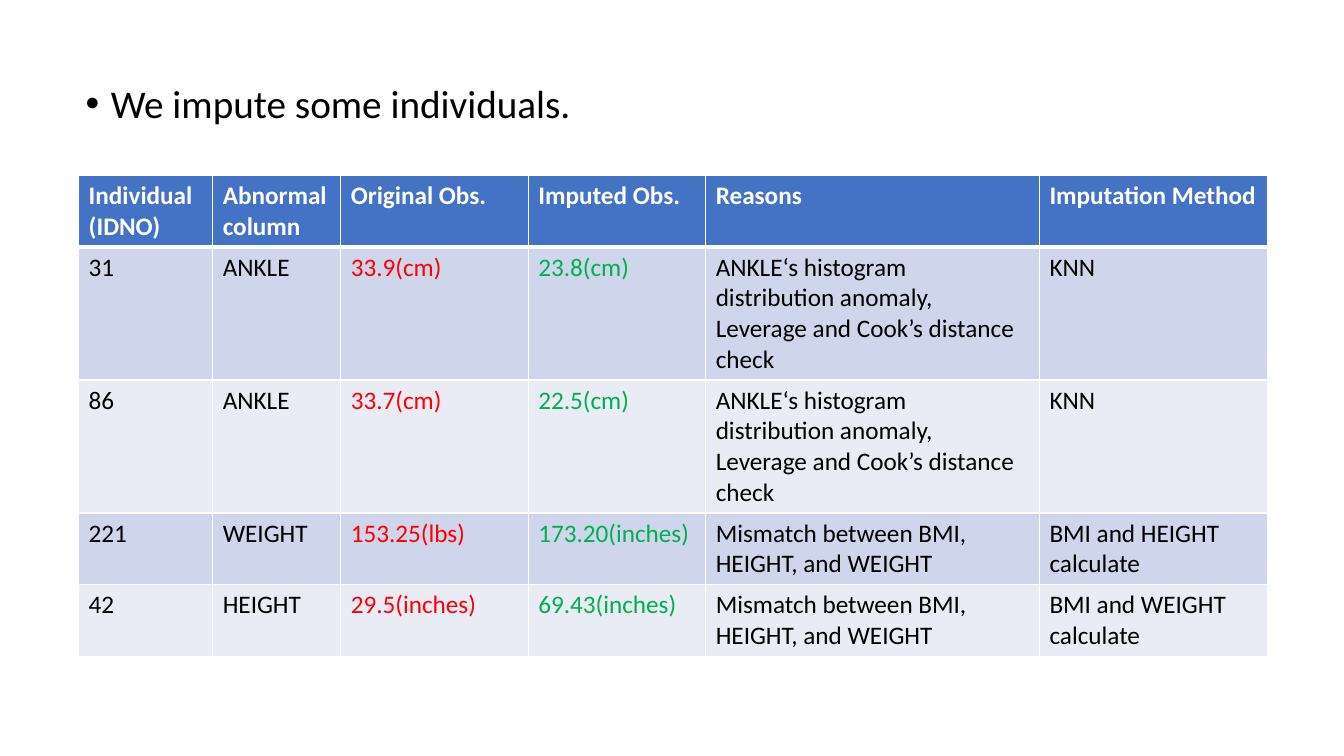
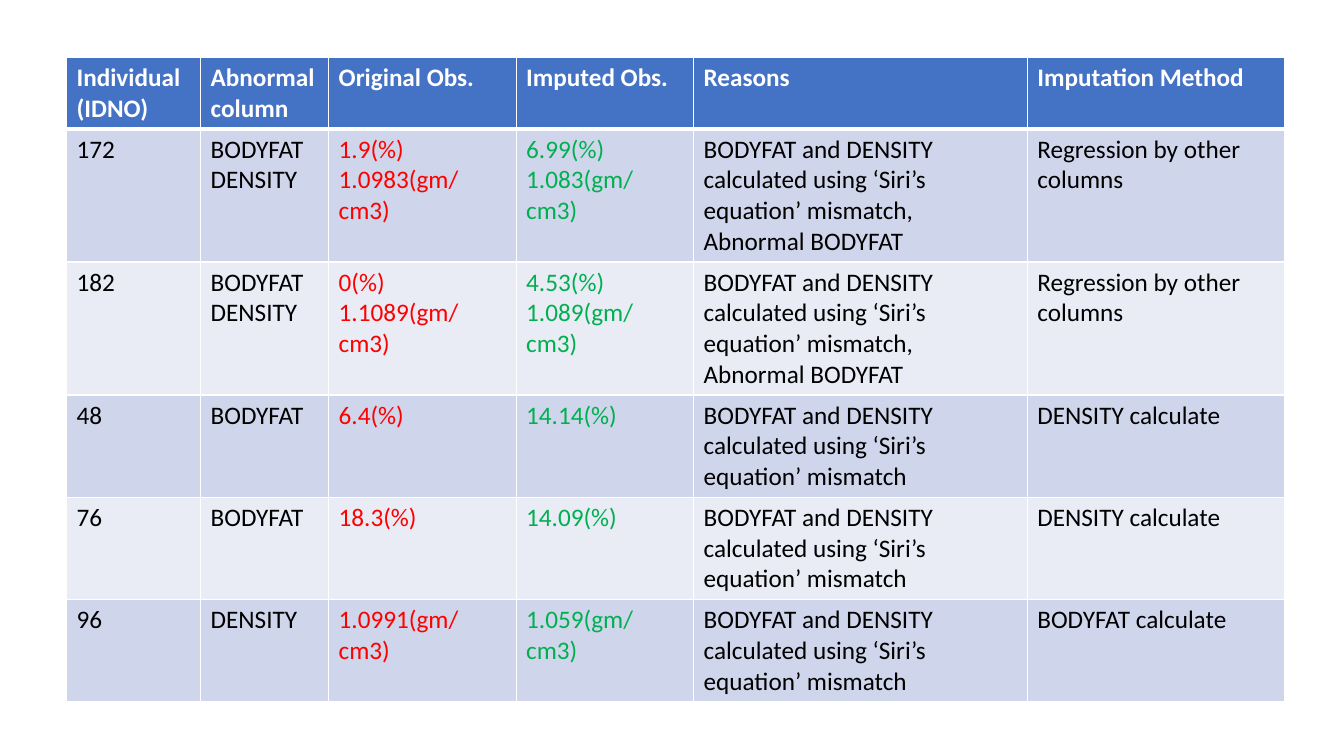
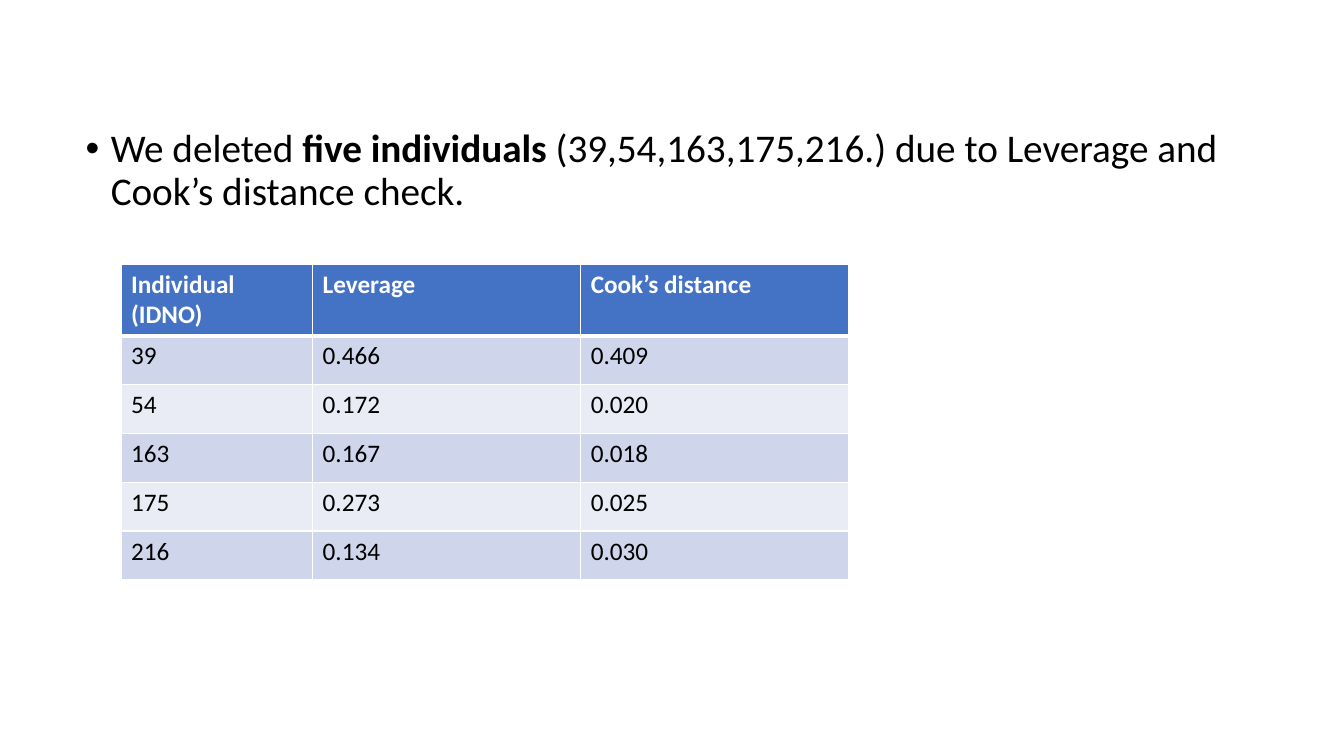
from dataclasses import dataclass

from lxml import etree
from pptx import Presentation
from pptx.dml.color import RGBColor
from pptx.oxml.ns import qn
from pptx.util import Inches, Pt

BLANK_LAYOUT = 6


@dataclass(frozen=True)
class Theme:
    font: str = "Calibri"
    body_size: int = 28
    table_size: int = 18
    text: str = "000000"
    inverse: str = "FFFFFF"
    header: str = "4472C4"
    bands: tuple[str, str] = ("CFD5EA", "E9EBF5")
    original: str = "FF0000"
    imputed: str = "00B050"
    border: str = "FFFFFF"
    thin: int = 1
    thick: int = 3


@dataclass(frozen=True)
class Phrase:
    text: str
    bold: bool = False


@dataclass(frozen=True)
class Statement:
    top: float
    phrases: tuple[Phrase, ...]


@dataclass(frozen=True)
class Row:
    height: float
    cells: tuple[str, ...]


@dataclass(frozen=True)
class Grid:
    left: float
    top: float
    widths: tuple[float, ...]
    rows: tuple[Row, ...]


THEME = Theme()
COLUMN_COLORS = {"Original Obs.": THEME.original, "Imputed Obs.": THEME.imputed}


def lines(count: int) -> float:
    return 0.1 + 0.305 * count


def style_run(run, size: int, color: str, bold: bool) -> None:
    run.font.name = THEME.font
    run.font.size = Pt(size)
    run.font.bold = bold
    run.font.color.rgb = RGBColor.from_string(color)


def add_statement(slide, statement: Statement) -> None:
    body = slide.shapes.add_textbox(
        Inches(0.75), Inches(statement.top), Inches(12.02), Inches(6.15)
    )
    body.text_frame.word_wrap = True
    paragraph = body.text_frame.paragraphs[0]
    properties = paragraph._p.get_or_add_pPr()
    properties.set("marL", str(Inches(0.25)))
    properties.set("indent", str(Inches(-0.25)))
    etree.SubElement(properties, qn("a:buFont"), typeface="Arial")
    etree.SubElement(properties, qn("a:buChar"), char="•")
    paragraph.line_spacing = 0.9
    for phrase in statement.phrases:
        run = paragraph.add_run()
        run.text = phrase.text
        style_run(run, THEME.body_size, THEME.text, phrase.bold)


def add_borders(cell, top: int, bottom: int) -> None:
    properties = cell._tc.get_or_add_tcPr()
    sides = {"lnL": THEME.thin, "lnR": THEME.thin, "lnT": top, "lnB": bottom}
    for side, width in sides.items():
        line = etree.SubElement(properties, qn(f"a:{side}"), w=str(Pt(width)))
        fill = etree.SubElement(line, qn("a:solidFill"))
        etree.SubElement(fill, qn("a:srgbClr"), val=THEME.border)


def fill_cell(cell, text: str, row_index: int, heading: str) -> None:
    is_header = row_index == 0
    add_borders(
        cell,
        top=THEME.thick if row_index == 1 else THEME.thin,
        bottom=THEME.thick if is_header else THEME.thin,
    )
    if is_header:
        background, color = THEME.header, THEME.inverse
    else:
        background = THEME.bands[(row_index - 1) % 2]
        color = COLUMN_COLORS.get(heading, THEME.text)
    cell.fill.solid()
    cell.fill.fore_color.rgb = RGBColor.from_string(background)
    frame = cell.text_frame
    for index, part in enumerate(text.split("\n")):
        paragraph = frame.add_paragraph() if index else frame.paragraphs[0]
        run = paragraph.add_run()
        run.text = part
        style_run(run, THEME.table_size, color, is_header)


def add_grid(slide, grid: Grid) -> None:
    table = slide.shapes.add_table(
        len(grid.rows),
        len(grid.widths),
        Inches(grid.left),
        Inches(grid.top),
        Inches(sum(grid.widths)),
        Inches(sum(row.height for row in grid.rows)),
    ).table
    for column, width in zip(table.columns, grid.widths):
        column.width = Inches(width)
    headings = grid.rows[0].cells
    for row_index, row in enumerate(grid.rows):
        table.rows[row_index].height = Inches(row.height)
        for column_index, text in enumerate(row.cells):
            cell = table.cell(row_index, column_index)
            fill_cell(cell, text, row_index, headings[column_index])


IMPUTATION_WIDTHS = (1.33, 1.27, 1.86, 1.76, 3.31)
IMPUTATION_HEADER = Row(lines(2), (
    "Individual (IDNO)", "Abnormal column", "Original Obs.",
    "Imputed Obs.", "Reasons", "Imputation Method",
))
BMI_MISMATCH = "Mismatch between BMI, HEIGHT, and WEIGHT"
SIRI_MISMATCH = "BODYFAT and DENSITY calculated using ‘Siri’s equation’ mismatch"
ANKLE_ANOMALY = "ANKLE‘s histogram distribution anomaly,"
DISTANCE_CHECK = "Leverage and Cook’s distance check"
REGRESSION = "Regression by other columns"

IMPUTED_STATEMENT = Statement(0.79, (Phrase("We impute some individuals."),))
SIZE_IMPUTATIONS = Grid(0.78, 1.74, IMPUTATION_WIDTHS + (2.26,), (
    IMPUTATION_HEADER,
    Row(lines(4), ("31", "ANKLE", "33.9(cm)", "23.8(cm)",
                   f"{ANKLE_ANOMALY} {DISTANCE_CHECK}", "KNN")),
    Row(lines(4), ("86", "ANKLE", "33.7(cm)", "22.5(cm)",
                   f"{ANKLE_ANOMALY}\n{DISTANCE_CHECK}", "KNN")),
    Row(lines(2), ("221", "WEIGHT", "153.25(lbs)", "173.20(inches)",
                   BMI_MISMATCH, "BMI and HEIGHT calculate")),
    Row(lines(2), ("42", "HEIGHT", "29.5(inches)", "69.43(inches)",
                   BMI_MISMATCH, "BMI and WEIGHT calculate")),
))
BODYFAT_IMPUTATIONS = Grid(0.66, 0.57, IMPUTATION_WIDTHS + (2.55,), (
    IMPUTATION_HEADER,
    Row(lines(4), ("172", "BODYFAT\nDENSITY", "1.9(%)\n1.0983(gm/cm3)",
                   "6.99(%)\n1.083(gm/cm3)",
                   f"{SIRI_MISMATCH}, Abnormal BODYFAT", REGRESSION)),
    Row(lines(4), ("182", "BODYFAT\nDENSITY", "0(%)\n1.1089(gm/cm3)",
                   "4.53(%)\n1.089(gm/cm3)",
                   f"{SIRI_MISMATCH},\nAbnormal BODYFAT", REGRESSION)),
    Row(lines(3), ("48", "BODYFAT", "6.4(%)", "14.14(%)",
                   SIRI_MISMATCH, "DENSITY calculate")),
    Row(lines(3), ("76", "BODYFAT", "18.3(%)", "14.09(%)",
                   SIRI_MISMATCH, "DENSITY calculate")),
    Row(lines(3), ("96", "DENSITY", "1.0991(gm/cm3)", "1.059(gm/cm3)",
                   SIRI_MISMATCH, "BODYFAT calculate")),
))
DELETED_STATEMENT = Statement(1.23, (
    Phrase("We deleted "),
    Phrase("five individuals", bold=True),
    Phrase(" (39,54,163,175,216.) due to Leverage and Cook’s distance check."),
))
DELETED_MEASURES = (
    ("39", "0.466", "0.409"),
    ("54", "0.172", "0.020"),
    ("163", "0.167", "0.018"),
    ("175", "0.273", "0.025"),
    ("216", "0.134", "0.030"),
)
DELETED_INDIVIDUALS = Grid(1.2, 2.62, (1.9, 2.66, 2.66), (
    Row(lines(2), ("Individual (IDNO)", "Leverage", "Cook’s distance")),
    *(Row(0.485, measures) for measures in DELETED_MEASURES),
))
SLIDES = (
    (IMPUTED_STATEMENT, SIZE_IMPUTATIONS),
    (None, BODYFAT_IMPUTATIONS),
    (DELETED_STATEMENT, DELETED_INDIVIDUALS),
)


def main() -> None:
    presentation = Presentation()
    presentation.slide_width = Inches(13.33)
    presentation.slide_height = Inches(7.5)
    for statement, grid in SLIDES:
        slide = presentation.slides.add_slide(presentation.slide_layouts[BLANK_LAYOUT])
        if statement:
            add_statement(slide, statement)
        add_grid(slide, grid)
    presentation.save("out.pptx")


if __name__ == "__main__":
    main()
